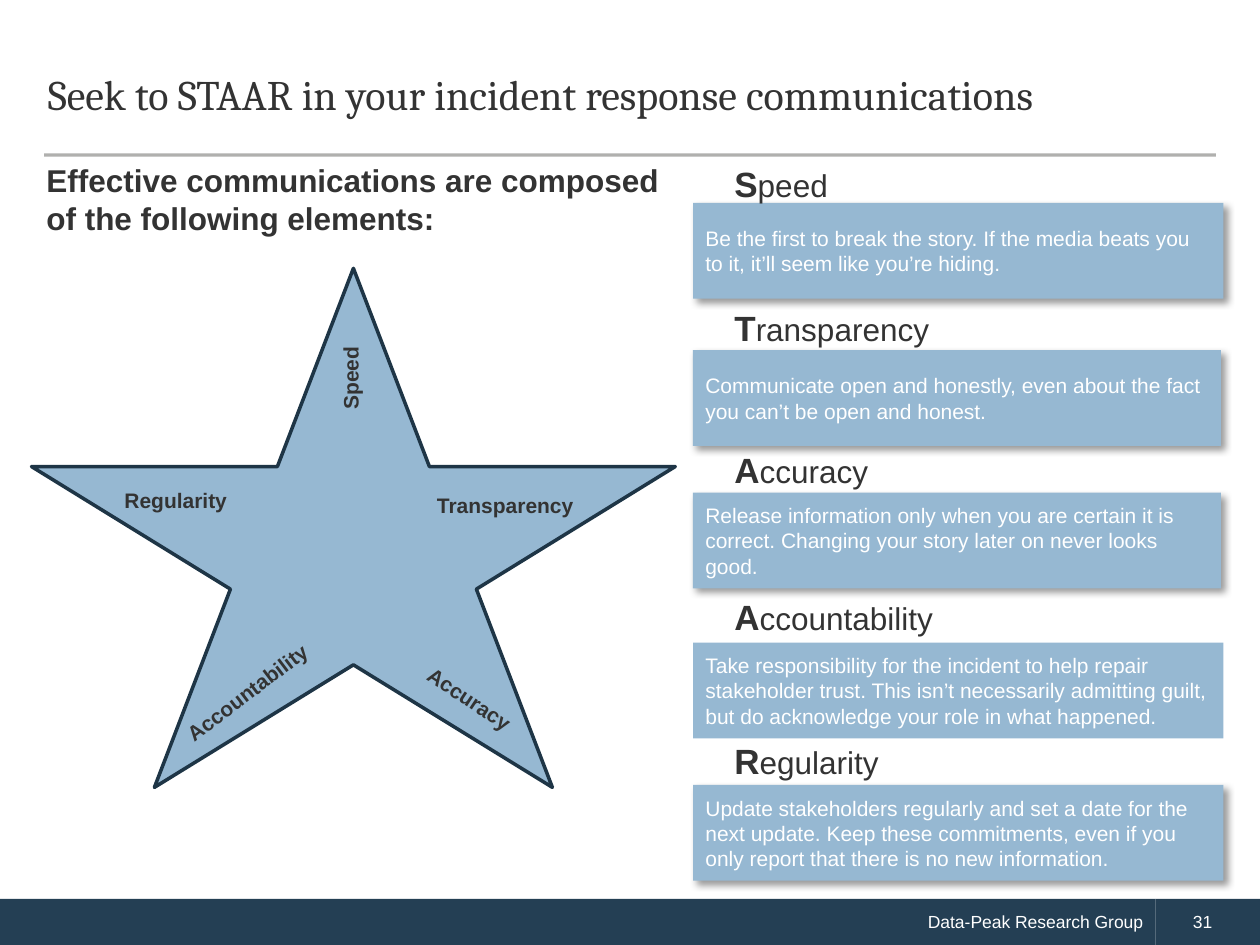
from collections import namedtuple

from lxml import etree
from pptx import Presentation
from pptx.dml.color import RGBColor
from pptx.enum.shapes import MSO_CONNECTOR, MSO_SHAPE
from pptx.enum.text import MSO_ANCHOR, PP_ALIGN
from pptx.oxml.ns import qn
from pptx.util import Inches, Pt

RECTANGLE, STAR = MSO_SHAPE.RECTANGLE, MSO_SHAPE.STAR_5_POINT
STRAIGHT = MSO_CONNECTOR.STRAIGHT
TOP, MIDDLE = MSO_ANCHOR.TOP, MSO_ANCHOR.MIDDLE
LEFT, RIGHT = PP_ALIGN.LEFT, PP_ALIGN.RIGHT

Box = namedtuple("Box", "left top width height")
SLIDE = Box(0, 0, Inches(10), Inches(7.5))
INK, PALE_BLUE, NAVY, OUTLINE, WHITE = "333333", "96B8D2", "243F54", "1E3546", "FFFFFF"

STAR_LABELS = [
    ("Speed", 49.8, 19.05, 17.03, 270),
    ("Transparency", 77.69, 46, 33.27, 0),
    ("Accuracy", 71.33, 86.04, 26.81, 33.5),
    ("Accountability", 35.71, 79.98, 31.51, 322.7),
    ("Regularity", 34.34, 45.02, 43.64, 0),
]
ELEMENTS = [
    ("Speed", 0, 6.43, 100, True,
     "Be the first to break the story. If the media beats you to it, it’ll seem like you’re hiding."),
    ("Transparency", 19.83, 26.78, 99.52, True,
     "Communicate open and honestly, even about the fact you can’t be open and honest."),
    ("Accuracy", 39.48, 46.43, 99.52, True,
     "Release information only when you are certain it is correct. "
     "Changing your story later on never looks good."),
    ("Accountability", 59.83, 67.13, 100, False,
     "Take responsibility for the incident to help repair stakeholder trust. "
     "This isn’t necessarily admitting guilt, but do acknowledge your role in what happened."),
    ("Regularity", 79.65, 86.78, 100, True,
     "Update stakeholders regularly and set a date for the next update. "
     "Keep these commitments, even if you only report that there is no new information."),
]


def part(box, left, top, width, height):
    return Box(int(box.left + box.width * left / 100), int(box.top + box.height * top / 100),
               int(box.width * width / 100), int(box.height * height / 100))


def color(value):
    return RGBColor.from_string(value)


def add_run(paragraph, text, size, ink=INK, bold=False, font="Arial"):
    run = paragraph.add_run()
    run.text = text
    run.font.size, run.font.name, run.font.bold = Pt(size), font, bold
    run.font.color.rgb = color(ink)


def first_paragraph(shape, anchor=TOP, align=LEFT):
    frame = shape.text_frame
    frame.word_wrap = True
    frame.vertical_anchor = anchor
    paragraph = frame.paragraphs[0]
    paragraph.alignment = align
    return paragraph


def add_filled(shapes, kind, box, fill):
    shape = shapes.add_shape(kind, *box)
    shape.shadow.inherit = False
    shape.fill.solid()
    shape.fill.fore_color.rgb = color(fill)
    shape.line.fill.background()
    return shape


def add_shadow(shape):
    effects = shape.element.spPr.find(qn("a:effectLst"))
    shadow = etree.SubElement(effects, qn("a:outerShdw"), blurRad=str(Pt(4)),
                              dist=str(Pt(3)), dir="2700000", algn="tl", rotWithShape="0")
    black = etree.SubElement(shadow, qn("a:srgbClr"), val="000000")
    etree.SubElement(black, qn("a:alpha"), val="40000")


def add_title(slide, box):
    title = slide.shapes.title
    title.left, title.top, title.width, title.height = box
    paragraph = first_paragraph(title, MIDDLE)
    paragraph.line_spacing = Pt(26)
    add_run(paragraph, "Seek to STAAR in your incident response communications", 24, font="Cambria")


def add_rule(slide, box):
    rule = slide.shapes.add_connector(STRAIGHT, box.left, box.top, box.left + box.width, box.top)
    rule.line.width = Pt(1.75)
    rule.line.color.rgb = color("45433E")
    tone = rule.element.spPr.find(".//" + qn("a:srgbClr"))
    etree.SubElement(tone, qn("a:alpha"), val="42000")
    etree.SubElement(rule.element.spPr, qn("a:effectLst"))


def add_intro(slide, box):
    paragraph = first_paragraph(slide.shapes.add_textbox(*box))
    paragraph.space_after = Pt(6)
    add_run(paragraph, "Effective communications are composed ", 18, bold=True)
    paragraph.add_line_break()
    add_run(paragraph, "of the following elements:", 18, bold=True)


def add_star(slide, box):
    shapes = slide.shapes.add_group_shape().shapes
    star = add_filled(shapes, STAR, box, PALE_BLUE)
    star.line.color.rgb = color(OUTLINE)
    star.line.width = Pt(2)
    height = 8
    for name, center, middle, width, angle in STAR_LABELS:
        label = shapes.add_textbox(
            *part(box, center - width / 2, middle - height / 2, width, height))
        label.rotation = angle
        add_run(first_paragraph(label), name, 12, bold=True)


def add_elements(slide, box):
    for name, heading_top, card_top, card_width, shadowed, advice in ELEMENTS:
        card = add_filled(slide.shapes, RECTANGLE,
                          part(box, 0, card_top, card_width, 13.22), PALE_BLUE)
        if shadowed:
            add_shadow(card)
        add_run(first_paragraph(card, MIDDLE), advice, 12, WHITE)
        heading = slide.shapes.add_textbox(*part(box, 5.46, heading_top, 45, 7.65))
        paragraph = first_paragraph(heading)
        add_run(paragraph, name[0], 20, bold=True)
        add_run(paragraph, name[1:], 18)


def add_footer(slide, box):
    publisher = add_filled(slide.shapes, RECTANGLE, part(box, 0, 0, 91.7, 100), NAVY)
    add_run(first_paragraph(publisher, MIDDLE, RIGHT), "Data-Peak Research Group", 10, WHITE)
    page = add_filled(slide.shapes, RECTANGLE, part(box, 91.7, 0, 8.3, 100), NAVY)
    paragraph = first_paragraph(page, MIDDLE)
    paragraph._p.get_or_add_pPr().set("marL", str(Inches(0.2)))
    add_run(paragraph, "31", 10, WHITE)


def main():
    deck = Presentation()
    deck.slide_width, deck.slide_height = SLIDE.width, SLIDE.height
    slide = deck.slides.add_slide(deck.slide_layouts[5])
    add_footer(slide, part(SLIDE, 0, 95.13, 100, 4.87))
    add_rule(slide, part(SLIDE, 3.5, 16.4, 93, 0))
    add_title(slide, part(SLIDE, 2.8, 3.87, 94.3, 12.53))
    add_intro(slide, part(SLIDE, 2.7, 16.4, 54.6, 9.47))
    add_star(slide, part(SLIDE, 2.5, 28.4, 51.1, 54.93))
    add_elements(slide, part(SLIDE, 55, 16.53, 42.1, 76.67))
    deck.save("out.pptx")


if __name__ == "__main__":
    main()
